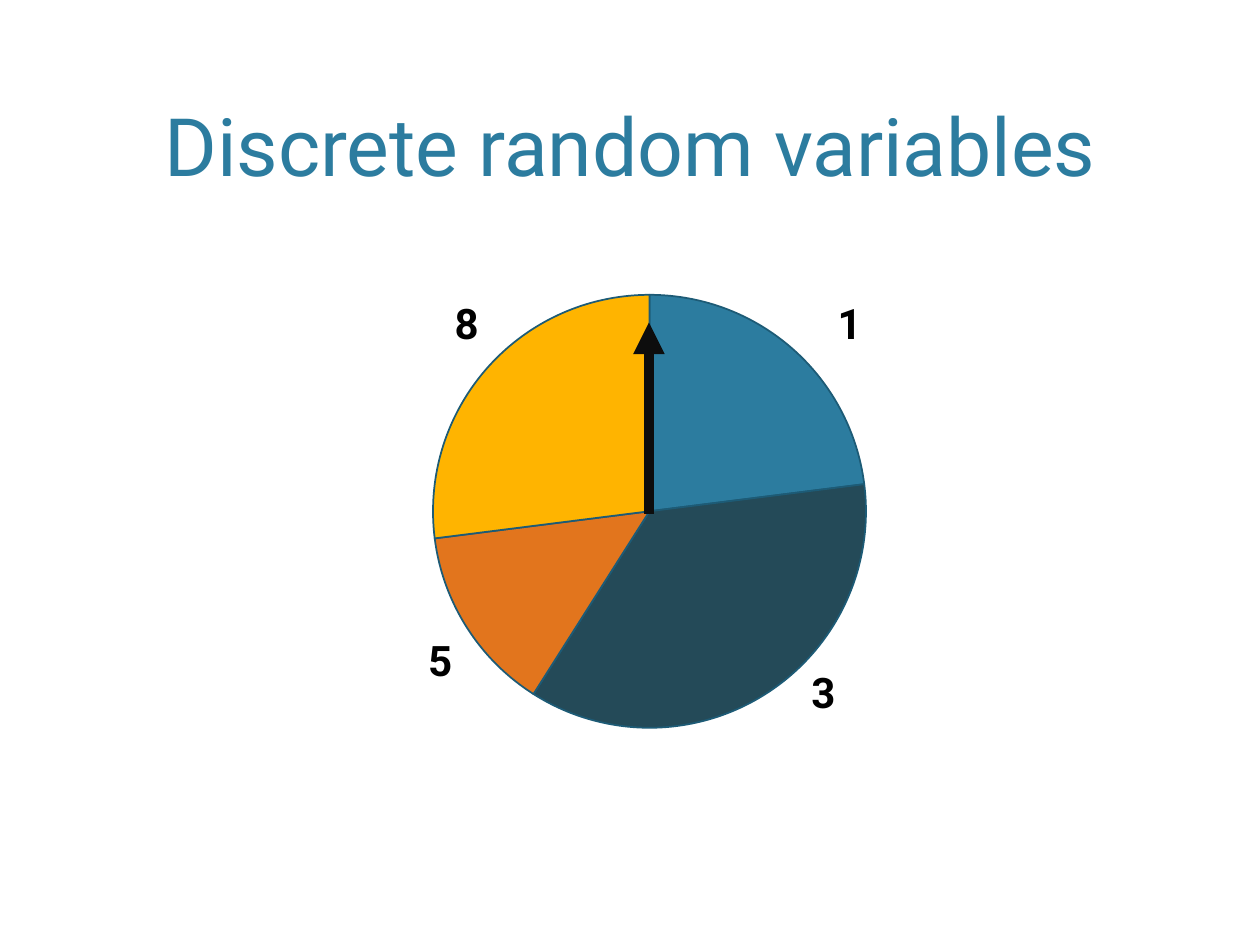
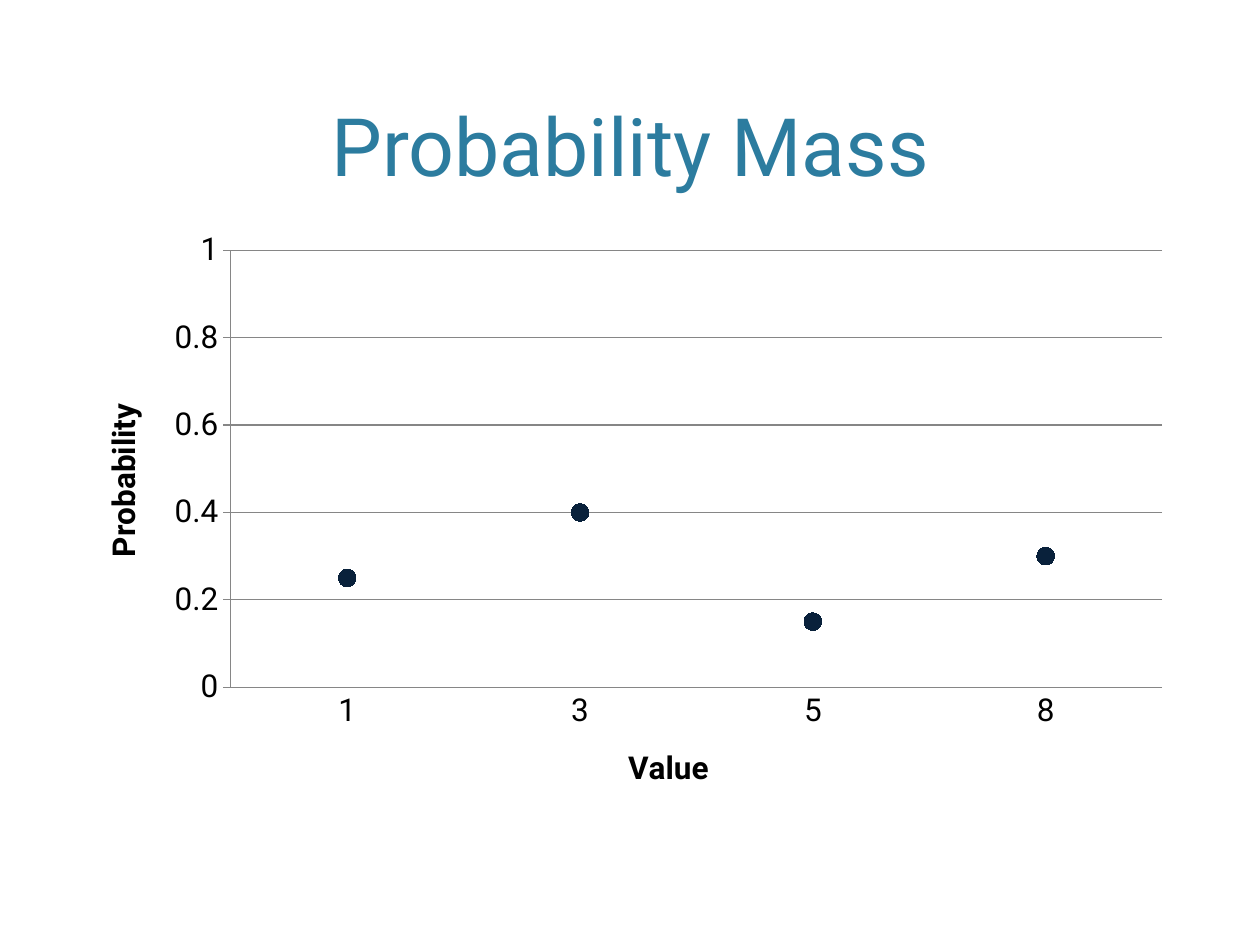
"""Build two slides on discrete random variables: a spinner and its probability mass chart."""
from lxml.etree import SubElement
from pptx import Presentation
from pptx.chart.data import CategoryChartData
from pptx.dml.color import RGBColor
from pptx.enum.chart import XL_CHART_TYPE, XL_MARKER_STYLE, XL_TICK_MARK
from pptx.enum.shapes import MSO_CONNECTOR
from pptx.enum.text import MSO_ANCHOR, MSO_AUTO_SIZE, PP_ALIGN
from pptx.oxml import parse_xml
from pptx.oxml.ns import nsdecls, qn
from pptx.util import Inches, Pt

COLORS = {
    "title": "2C7C9F", "text": "000000", "needle": "0D0D0D", "grid": "868686",
    "marker": "09213B", "slice_edge": "1D5B76",
}
FORMATS = {
    "title": {"name": "Roboto", "size": Pt(46), "bold": False},
    "outcome": {"name": "Roboto", "size": Pt(24), "bold": True},
    "chart": {"name": "Roboto", "size": Pt(18), "bold": False},
    "axis_title": {"name": "Roboto", "size": Pt(18), "bold": True},
}


def style_font(font, role):
    for attribute, value in FORMATS[role].items():
        setattr(font, attribute, value)
    font.color.rgb = RGBColor.from_string(COLORS["title" if role == "title" else "text"])


def add_plot(slide, kind, box, categories, values, inner):
    data = CategoryChartData()
    data.categories = categories
    data.add_series("Series 1", values)
    chart = slide.shapes.add_chart(kind, *map(Inches, box), data).chart
    chart.has_title = False
    chart.has_legend = False
    style_font(chart.font, "chart")
    plot_area = chart.plots[0]._element.getparent()
    for layout in plot_area.findall(qn("c:layout")):
        plot_area.remove(layout)
    sizes = "".join(f'<c:{key} val="{value}"/>' for key, value in zip("xywh", inner))
    plot_area.insert(0, parse_xml(
        f'<c:layout {nsdecls("c")}><c:manualLayout><c:layoutTarget val="inner"/>'
        f'<c:xMode val="edge"/><c:yMode val="edge"/>{sizes}</c:manualLayout></c:layout>'))
    return chart


prs = Presentation()
prs.slide_width, prs.slide_height = Inches(10), Inches(7.5)
spinner_slide, mass_slide = [prs.slides.add_slide(prs.slide_layouts[6]) for _ in range(2)]

spinner = add_plot(spinner_slide, XL_CHART_TYPE.PIE, (2.47, 2.18, 5.37, 3.72),
                   ["1", "2", "3", "4"], [23, 36, 14, 27], (0.18, 0.04, 0.64, 0.93))
spinner.plots[0].vary_by_categories = True
for index, color in enumerate(["2C7C9F", "244A58", "E2751D", "FFB400"]):
    sector = spinner.plots[0].series[0].points[index].format
    sector.fill.solid()
    sector.fill.fore_color.rgb = RGBColor.from_string(color)
    sector.line.color.rgb = RGBColor.from_string(COLORS["slice_edge"])
    sector.line.width = Pt(1)

for slide, wording in [(spinner_slide, "Discrete random variables"),
                       (mass_slide, "Probability Mass")]:
    title = slide.shapes.add_textbox(*map(Inches, (0.6, 0.12, 8.8, 1.46))).text_frame
    title.word_wrap = True
    title.vertical_anchor = MSO_ANCHOR.BOTTOM
    title.text = wording
    title.paragraphs[0].alignment = PP_ALIGN.CENTER
    style_font(title.paragraphs[0].runs[0].font, "title")

needle = spinner_slide.shapes.add_connector(
    MSO_CONNECTOR.STRAIGHT, *map(Inches, (5.15, 4.08, 5.15, 2.56)))
needle.line.color.rgb = RGBColor.from_string(COLORS["needle"])
needle.line.width = Pt(6)
SubElement(needle.line._get_or_add_ln(), qn("a:tailEnd"), type="triangle")
SubElement(needle._element.spPr, qn("a:effectLst"))

for value, left, top in [("3", 6.34, 5.24), ("8", 3.51, 2.31),
                         ("1", 6.55, 2.31), ("5", 3.3, 4.99)]:
    outcome = spinner_slide.shapes.add_textbox(
        *map(Inches, (left, top, 0.41, 0.5))).text_frame
    outcome.word_wrap = False
    outcome.auto_size = MSO_AUTO_SIZE.SHAPE_TO_FIT_TEXT
    outcome.text = value
    style_font(outcome.paragraphs[0].runs[0].font, "outcome")

mass = add_plot(mass_slide, XL_CHART_TYPE.LINE_MARKERS, (0.6, 1.75, 8.8, 4.75),
                ["1", "3", "5", "8"], [0.25, 0.4, 0.15, 0.3], (0.14, 0.05, 0.84, 0.73))
mass.plots[0].vary_by_categories = False
probabilities = mass.plots[0].series[0]
probabilities.smooth = False
probabilities.format.line.fill.background()
probabilities.marker.style = XL_MARKER_STYLE.CIRCLE
probabilities.marker.size = 10
dot = probabilities.marker.format
dot.fill.solid()
dot.fill.fore_color.rgb = RGBColor.from_string(COLORS["marker"])
dot.line.fill.background()

scale = mass.value_axis
for attribute, value in {"minimum_scale": 0, "maximum_scale": 1, "major_unit": 0.2,
                         "has_major_gridlines": True}.items():
    setattr(scale, attribute, value)
scale.tick_labels.number_format = "General"
scale.tick_labels.number_format_is_linked = False
for axis, wording, tick in [(mass.category_axis, "Value", XL_TICK_MARK.NONE),
                            (scale, "Probability", XL_TICK_MARK.OUTSIDE)]:
    axis.major_tick_mark = tick
    axis.minor_tick_mark = XL_TICK_MARK.NONE
    style_font(axis.tick_labels.font, "chart")
    axis.axis_title.text_frame.text = wording
    style_font(axis.axis_title.text_frame.paragraphs[0].runs[0].font, "axis_title")
for rule in (mass.category_axis, scale, scale.major_gridlines):
    rule.format.line.color.rgb = RGBColor.from_string(COLORS["grid"])
    rule.format.line.width = Pt(0.75)

prs.save("out.pptx")
